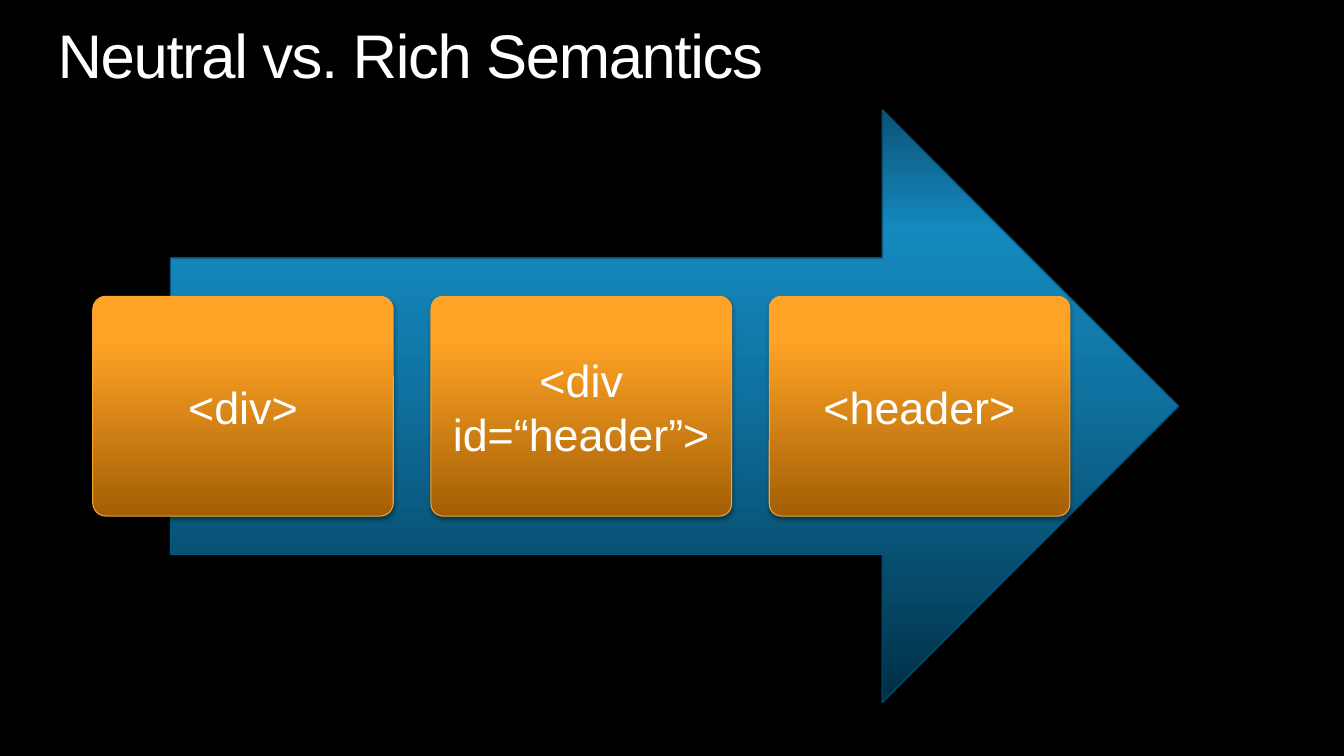
"""Build the slide on neutral versus rich semantics: three tags along an arrow."""
from dataclasses import dataclass

from lxml.etree import SubElement
from pptx import Presentation
from pptx.dml.color import RGBColor
from pptx.enum.shapes import MSO_SHAPE
from pptx.enum.text import MSO_ANCHOR, PP_ALIGN
from pptx.oxml.ns import qn
from pptx.shapes.autoshape import Shape
from pptx.slide import Slide
from pptx.text.text import _Paragraph as Paragraph
from pptx.text.text import _Run as Run
from pptx.util import Inches, Length, Pt

PAGE_WIDTH, PAGE_HEIGHT = Inches(13.33), Inches(7.5)
FONT = "Arial"
COLOURS = {
    "background": "000000",
    "text": "FFFFFF",
    "arrow_dark": "002D42",
    "arrow_bright": "1CB7FF",
    "arrow_edge": "005A84",
    "card_dark": "A35F05",
    "card_bright": "FFA326",
    "card_light": "FFA327",
    "card_edge": "F9A32E",
    "shadow": "000000",
}


@dataclass(frozen=True)
class Area:
    """A rectangle in percent of the slide's width and height."""

    left: float
    top: float
    width: float
    height: float

    def lengths(self) -> tuple[Length, Length, Length, Length]:
        """Return left, top, width and height as slide lengths."""
        return (
            Length(round(PAGE_WIDTH * self.left / 100)),
            Length(round(PAGE_HEIGHT * self.top / 100)),
            Length(round(PAGE_WIDTH * self.width / 100)),
            Length(round(PAGE_HEIGHT * self.height / 100)),
        )


@dataclass(frozen=True)
class Stop:
    """A gradient stop, with place and opacity in percent."""

    place: int
    colour: str
    opacity: int = 100


@dataclass(frozen=True)
class Look:
    """The gradient, from bottom to top, and the edge of a shape."""

    stops: tuple[Stop, ...]
    edge: str


@dataclass(frozen=True)
class Card:
    """A tag and the roundness of its card."""

    tag: str
    roundness: float


TITLE_AREA = Area(4.28, 3.33, 91.45, 8.93)
ARROW_AREA = Area(12.68, 14.53, 75.02, 78.4)
FIRST_CARD_AREA = Area(6.9, 39.2, 22.36, 29.07)
CARD_PITCH = 25.17
ARROW_LOOK = Look(
    (Stop(0, "arrow_dark"), Stop(80, "arrow_bright", 75), Stop(100, "arrow_bright", 45)),
    "arrow_edge",
)
CARD_LOOK = Look(
    (Stop(0, "card_dark"), Stop(80, "card_bright"), Stop(100, "card_light")),
    "card_edge",
)
CARDS = (
    Card("<div>", 0.06),
    Card("<div id=“header”>", 0.055),
    Card("<header>", 0.055),
)


def rgb(name: str) -> RGBColor:
    """Return a named colour."""
    return RGBColor.from_string(COLOURS[name])


def add_colour(parent, name: str, opacity: int) -> None:
    """Append a colour with its opacity to an XML element."""
    colour = SubElement(parent, qn("a:srgbClr"), val=COLOURS[name])
    SubElement(colour, qn("a:alpha"), val=str(opacity * 1000))


def add_run(para: Paragraph, text: str, size: int) -> Run:
    """Add a run in the slide's font and text colour."""
    span = para.add_run()
    span.text = text
    span.font.name = FONT
    span.font.size = Pt(size)
    span.font.color.rgb = rgb("text")
    return span


def add_shape(page: Slide, kind: MSO_SHAPE, area: Area, look: Look) -> Shape:
    """Add a shape with a vertical gradient, a thin edge and a soft shadow."""
    shape = page.shapes.add_shape(kind, *area.lengths())
    shape.fill.gradient()
    shape.fill.gradient_angle = 90
    properties = shape._element.spPr
    stop_list = properties.find(".//" + qn("a:gsLst"))
    for old_stop in list(stop_list):
        stop_list.remove(old_stop)
    for stop in look.stops:
        element = SubElement(stop_list, qn("a:gs"), pos=str(stop.place * 1000))
        add_colour(element, stop.colour, stop.opacity)
    shape.line.color.rgb = rgb(look.edge)
    shape.line.width = Pt(0.75)
    shape.shadow.inherit = False
    shadow = SubElement(
        properties.find(qn("a:effectLst")),
        qn("a:outerShdw"),
        blurRad=str(Pt(3.1)),
        dist=str(Pt(1.8)),
        dir=str(90 * 60000),
        rotWithShape="0",
    )
    add_colour(shadow, "shadow", 35)
    return shape


def add_title(page: Slide, text: str) -> None:
    """Add the slide's title."""
    frame = page.shapes.add_textbox(*TITLE_AREA.lengths()).text_frame
    frame.word_wrap = True
    frame.margin_left = frame.margin_right = 0
    frame.margin_top = frame.margin_bottom = 0
    para = frame.paragraphs[0]
    para.line_spacing = 0.9
    span = add_run(para, text, 44)
    span._r.get_or_add_rPr().set("spc", "-100")


def add_card(page: Slide, card: Card, column: int) -> None:
    """Add a card with its tag in the given column."""
    first = FIRST_CARD_AREA
    area = Area(first.left + column * CARD_PITCH, first.top, first.width, first.height)
    box = add_shape(page, MSO_SHAPE.ROUNDED_RECTANGLE, area, CARD_LOOK)
    box.adjustments[0] = card.roundness
    frame = box.text_frame
    frame.word_wrap = True
    frame.vertical_anchor = MSO_ANCHOR.MIDDLE
    para = frame.paragraphs[0]
    para.alignment = PP_ALIGN.CENTER
    add_run(para, card.tag, 32)


def main() -> None:
    """Build and save the deck."""
    deck = Presentation()
    deck.slide_width, deck.slide_height = PAGE_WIDTH, PAGE_HEIGHT
    page = deck.slides.add_slide(deck.slide_layouts[6])
    page.background.fill.solid()
    page.background.fill.fore_color.rgb = rgb("background")
    add_title(page, "Neutral vs. Rich Semantics")
    add_shape(page, MSO_SHAPE.RIGHT_ARROW, ARROW_AREA, ARROW_LOOK)
    for column, card in enumerate(CARDS):
        add_card(page, card, column)
    deck.save("out.pptx")


if __name__ == "__main__":
    main()
